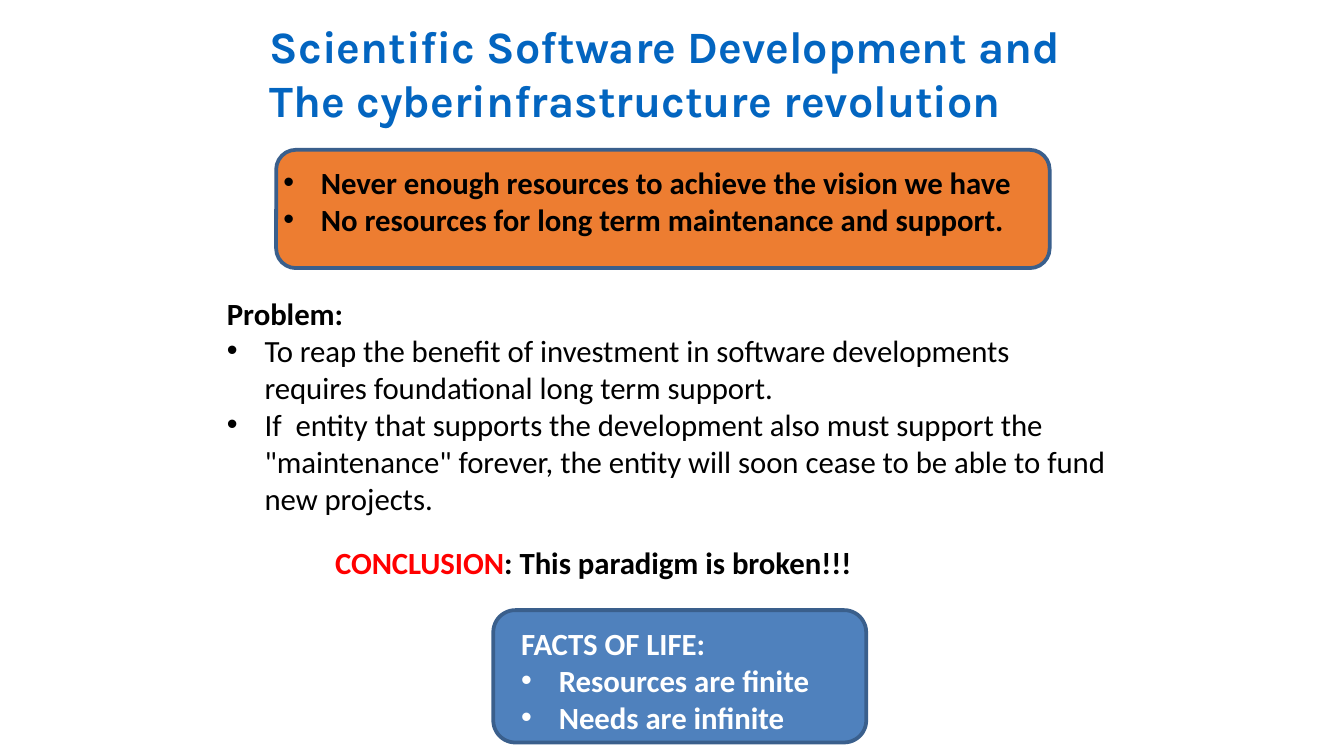
import pptx
import pptx.dml.color
import pptx.enum.shapes
import pptx.enum.text
import pptx.oxml.ns
import pptx.util
from lxml import etree

PX = 4572  # EMU per px, 200 px to the inch
RGBColor = pptx.dml.color.RGBColor
TITLE_BLUE = RGBColor(0x03, 0x65, 0xC0)
ORANGE = RGBColor(0xED, 0x7D, 0x31)
BLUE = RGBColor(0x4F, 0x81, 0xBD)
OUTLINE = RGBColor(0x3A, 0x5F, 0x8C)
BLACK = RGBColor(0x00, 0x00, 0x00)
RED = RGBColor(0xFF, 0x00, 0x00)
WHITE = RGBColor(0xFF, 0xFF, 0xFF)


def add_bullet(paragraph):
    properties = paragraph._p.get_or_add_pPr()
    indent = 56 * PX
    properties.set("marL", str(indent))
    properties.set("indent", str(-indent))
    for tag, name, value in (("a:buFont", "typeface", "Arial"),
                             ("a:buChar", "char", "•")):
        etree.SubElement(properties, pptx.oxml.ns.qn(tag)).set(name, value)


def add_text(paragraph, text, size=16.5, font="Calibri", color=BLACK,
             bold=True, bullet=False):
    if bullet:
        add_bullet(paragraph)
    run = paragraph.add_run()
    run.text = text
    run.font.size = pptx.util.Pt(size)
    run.font.name = font
    run.font.bold = bold
    run.font.color.rgb = color


def add_text_box(slide, box, lines, wrap=True):
    """Each line is a list of (text, format) runs."""
    shape = slide.shapes.add_textbox(*(value * PX for value in box))
    frame = shape.text_frame
    frame.word_wrap = wrap
    frame.auto_size = pptx.enum.text.MSO_AUTO_SIZE.SHAPE_TO_FIT_TEXT
    for index, runs in enumerate(lines):
        paragraph = frame.add_paragraph() if index else frame.paragraphs[0]
        for text, style in runs:
            add_text(paragraph, text, **style)


def add_panel(slide, box, fill):
    shape = slide.shapes.add_shape(
        pptx.enum.shapes.MSO_SHAPE.ROUNDED_RECTANGLE,
        *(value * PX for value in box))
    shape.shadow.inherit = False
    shape.fill.solid()
    shape.fill.fore_color.rgb = fill
    shape.line.color.rgb = OUTLINE
    shape.line.width = pptx.util.Pt(2)


def add_title(slide, box):
    style = dict(size=24, font="Karla", color=TITLE_BLUE)
    add_text_box(slide, box, [
        [("Scientific Software Development and", style)],
        [("The cyberinfrastructure revolution", style)],
    ], wrap=False)


def add_resources(slide, box):
    left, top, width, height = box
    add_panel(slide, box, ORANGE)
    style = dict(bullet=True)
    add_text_box(slide, (left - 9, top + 11, width - 10, height - 44), [
        [("Never enough resources to achieve the vision we have", style)],
        [("No resources for long term maintenance and support.", style)],
    ])


def add_problem(slide, box):
    style = dict(bold=False, bullet=True)
    add_text_box(slide, box, [
        [("Problem:", {})],
        [("To reap the benefit of investment in software developments "
          "requires foundational long term support.", style)],
        [("If  entity that supports the development also must support the "
          '"maintenance" forever, the entity will soon cease to be able to '
          "fund new projects.", style)],
    ])


def add_conclusion(slide, box):
    add_text_box(slide, box, [
        [("CONCLUSION", dict(color=RED)),
         (": This paradigm is broken!!!", {})],
    ])


def add_facts(slide, box):
    left, top, width, height = box
    add_panel(slide, box, BLUE)
    style = dict(color=WHITE, bullet=True)
    add_text_box(slide, (left + 22, top + 12, width + 31, height - 11), [
        [("FACTS OF LIFE:", dict(color=WHITE))],
        [("Resources are finite", style)],
        [("Needs are infinite", style)],
    ])


def main():
    presentation = pptx.Presentation()
    presentation.slide_width = 2000 * PX
    presentation.slide_height = 1125 * PX
    slide = presentation.slides.add_slide(presentation.slide_layouts[6])

    # Heading and the resource limits
    add_title(slide, (382, 18, 1294, 182))
    add_resources(slide, (411, 223, 1151, 176))

    # Argument
    add_problem(slide, (318, 429, 1358, 354))
    add_conclusion(slide, (479, 800, 906, 76))

    # Closing facts
    add_facts(slide, (734, 908, 555, 197))

    presentation.save("out.pptx")


if __name__ == "__main__":
    main()
